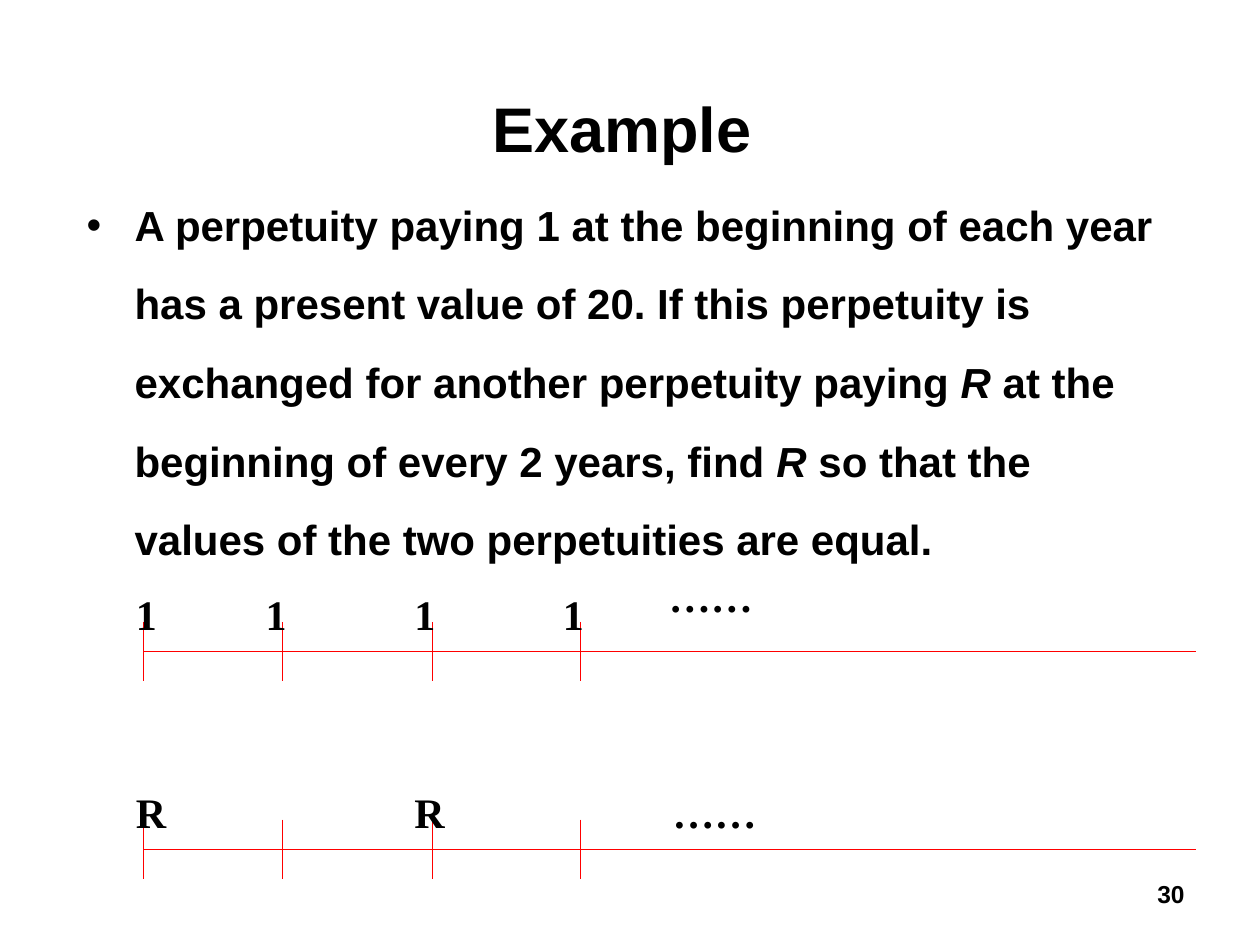
from lxml.etree import SubElement
from pptx import Presentation
from pptx.dml.color import RGBColor
from pptx.enum.shapes import MSO_CONNECTOR
from pptx.enum.text import MSO_ANCHOR, PP_ALIGN
from pptx.oxml.ns import qn
from pptx.util import Inches, Pt

TITLE = "Example"
PAGE_NUMBER = "30"
QUESTION = [
    ("A perpetuity paying 1 at the beginning of each year has a present value of 20. "
     "If this perpetuity is exchanged for another perpetuity paying ", False),
    ("R ", True),
    ("at the beginning of every 2 years, find ", False),
    ("R ", True),
    ("so that the values of the two perpetuities are equal.", False),
]
TICKS = [1.14, 2.24, 3.43, 4.61]
LABEL_LEFTS = [0.98, 2.01, 3.19, 4.37]
AXIS_END = 9.49
TICK_HALF = 0.235
LABEL_RISE = 0.71
TIMELINES = [
    {"axis": 5.17, "payments": ["1", "1", "1", "1"], "label_width": 0.37, "dots": (5.21, 4.32)},
    {"axis": 6.74, "payments": ["R", "", "R", ""], "label_width": 0.45, "dots": (5.24, 6.03)},
]
BLACK, RED = "000000", "FF0000"


def color(value):
    return RGBColor.from_string(value)


def add_text(slide, runs, left, top, width, height, size, font="Arial",
             align=PP_ALIGN.LEFT, anchor=MSO_ANCHOR.TOP, spacing=1.0, wrap=True):
    shape = slide.shapes.add_textbox(Inches(left), Inches(top), Inches(width), Inches(height))
    frame = shape.text_frame
    frame.word_wrap = wrap
    frame.vertical_anchor = anchor
    paragraph = frame.paragraphs[0]
    paragraph.alignment = align
    paragraph.line_spacing = spacing
    for text, italic in runs:
        run = paragraph.add_run()
        run.text = text
        run.font.name = font
        run.font.size = Pt(size)
        run.font.bold = True
        run.font.italic = italic
        run.font.color.rgb = color(BLACK)
    return paragraph


def add_bullet(paragraph, indent):
    properties = paragraph._p.get_or_add_pPr()
    properties.set("marL", str(Inches(indent)))
    properties.set("indent", str(-Inches(indent)))
    SubElement(properties, qn("a:buFont")).set("typeface", "Arial")
    SubElement(properties, qn("a:buChar")).set("char", "•")


def add_line(slide, x1, y1, x2, y2):
    line = slide.shapes.add_connector(
        MSO_CONNECTOR.STRAIGHT, Inches(x1), Inches(y1), Inches(x2), Inches(y2))
    line.line.color.rgb = color(RED)
    line.line.width = Pt(0.75)
    SubElement(line._element.spPr, qn("a:effectLst"))


def add_label(slide, text, left, top, width):
    add_text(slide, [(text, False)], left, top, width, 0.5, 24,
             font="Times New Roman", spacing=1.4, wrap=False)


def add_timeline(slide, timeline):
    axis = timeline["axis"]
    add_line(slide, TICKS[0], axis, AXIS_END, axis)
    for tick in TICKS:
        add_line(slide, tick, axis - TICK_HALF, tick, axis + TICK_HALF)
    for payment, left in zip(timeline["payments"], LABEL_LEFTS):
        if payment:
            add_label(slide, payment, left, axis - LABEL_RISE, timeline["label_width"])
    add_label(slide, "……", *timeline["dots"], 0.87)


def main():
    presentation = Presentation()
    presentation.slide_width, presentation.slide_height = Inches(10), Inches(7.5)
    slide = presentation.slides.add_slide(presentation.slide_layouts[6])
    add_text(slide, [(PAGE_NUMBER, False)], 7.17, 6.83, 2.33, 0.52, 14,
             align=PP_ALIGN.RIGHT, anchor=MSO_ANCHOR.MIDDLE)
    add_text(slide, [(TITLE, False)], 0.81, 0.66, 8.25, 0.55, 36, align=PP_ALIGN.CENTER)
    question = add_text(slide, QUESTION, 0.59, 1.31, 8.66, 5.16, 24, spacing=1.56)
    add_bullet(question, 0.38)
    for timeline in TIMELINES:
        add_timeline(slide, timeline)
    presentation.save("out.pptx")


if __name__ == "__main__":
    main()
